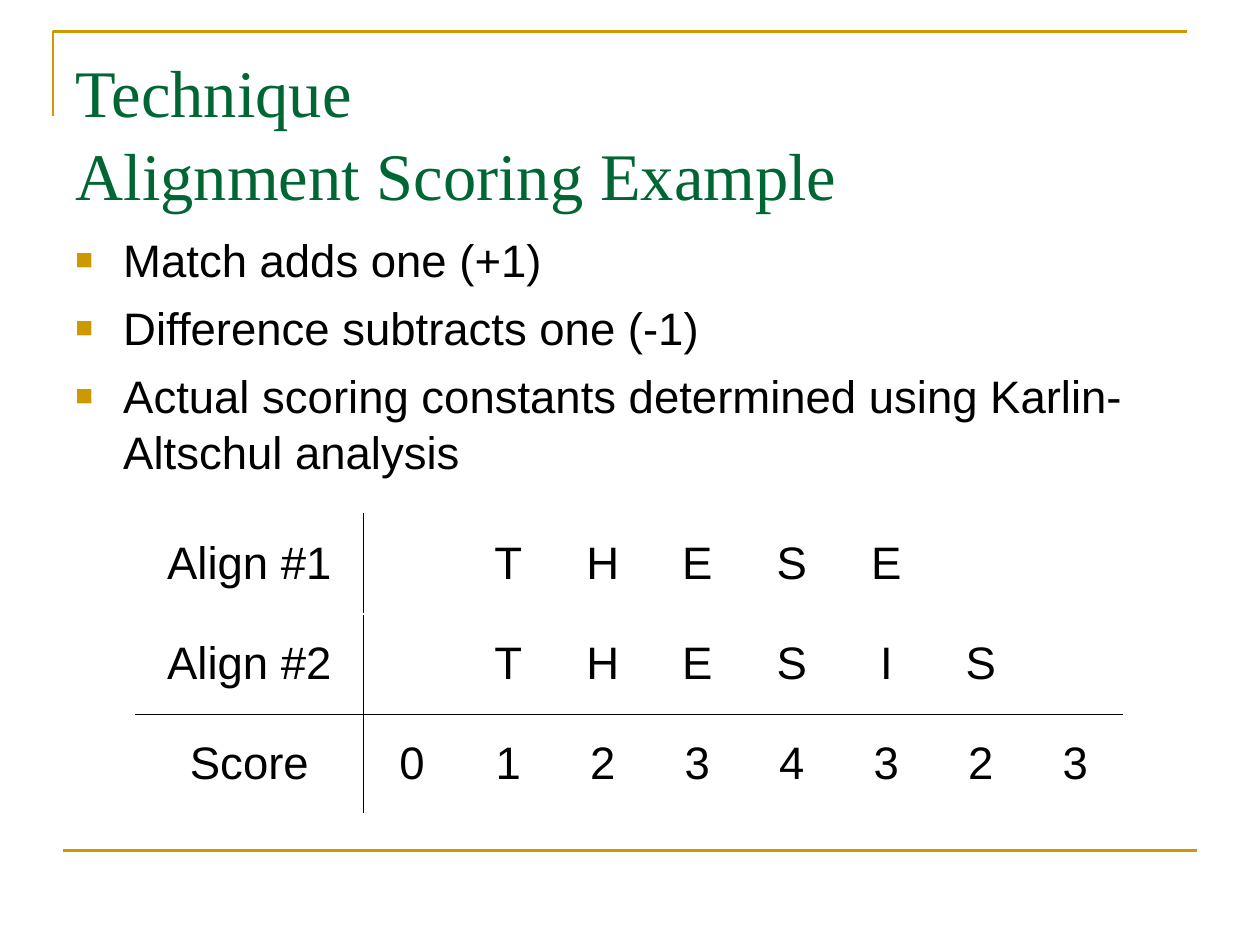
from collections import namedtuple
from lxml.etree import SubElement
from pptx import Presentation
from pptx.dml.color import RGBColor
from pptx.enum.shapes import MSO_CONNECTOR
from pptx.enum.text import MSO_ANCHOR, MSO_AUTO_SIZE, PP_ALIGN
from pptx.oxml import parse_xml
from pptx.oxml.ns import nsdecls, qn
from pptx.util import Inches, Pt

GOLD = RGBColor(0xCC, 0x99, 0x00)
GREEN = RGBColor(0x00, 0x66, 0x33)
BLACK = RGBColor(0x00, 0x00, 0x00)
COLS, ROWS = 10, 7.5
UNIT = Inches(1)
Box = namedtuple("Box", "left top width height")

TITLE = ["Technique", "Alignment Scoring Example"]
POINTS = [
    "Match adds one (+1)",
    "Difference subtracts one (-1)",
    "Actual scoring constants determined using Karlin-Altschul analysis",
]
SCORES = [
    ("Align #1", " THESE  "),
    ("Align #2", " THESIS "),
    ("Score", "01234323"),
]


def area(left, top, width, height):
    """Turn grid columns and rows into a box."""
    return Box(*(int(n * UNIT) for n in (left, top, width, height)))


def write(para, text, size, face, color):
    """Add one styled run to a paragraph."""
    run = para.add_run()
    run.text = text
    run.font.size = Pt(size)
    run.font.name = face
    run.font.color.rgb = color


def stroke(shape):
    """Give a rule its gold line."""
    shape.line.color.rgb = GOLD
    shape.line.width = Pt(1.5)


def add_frame(slide, box):
    """Draw the corner rule on top and the rule at the foot."""
    shift = int(0.08 * UNIT)
    left, right = box.left, box.left + box.width
    drop = box.top + int(0.67 * UNIT)
    pen = slide.shapes.build_freeform(left, drop)
    pen.add_line_segments([(left, box.top), (right, box.top)], close=False)
    corner = pen.convert_to_shape()
    corner.fill.background()
    corner.shadow.inherit = False
    stroke(corner)
    foot = box.top + box.height
    rule = slide.shapes.add_connector(
        MSO_CONNECTOR.STRAIGHT, left + shift, foot, right + shift, foot)
    stroke(rule)
    SubElement(rule._element.spPr, qn("a:effectLst"))


def add_title(slide, box):
    """Place the two-line title."""
    title = slide.shapes.title
    title.left, title.top, title.width, title.height = box
    frame = title.text_frame
    frame.auto_size = MSO_AUTO_SIZE.NONE
    frame.vertical_anchor = MSO_ANCHOR.TOP
    frame.margin_top = Inches(0.08)
    para = frame.paragraphs[0]
    para.alignment = PP_ALIGN.LEFT
    para.line_spacing = 1.04
    for row, text in enumerate(TITLE):
        if row:
            para.add_line_break()
        write(para, text, 38, "Times New Roman", GREEN)


def add_mark(para):
    """Give a paragraph a hanging gold square."""
    props = para._p.get_or_add_pPr()
    props.set("marL", str(Inches(0.38)))
    props.set("indent", str(-Inches(0.38)))
    tint = SubElement(props, qn("a:buClr"))
    SubElement(tint, qn("a:srgbClr")).set("val", str(GOLD))
    SubElement(props, qn("a:buSzPct")).set("val", "65000")
    SubElement(props, qn("a:buFont")).set("typeface", "Arial")
    SubElement(props, qn("a:buChar")).set("char", "■")


def add_points(slide, box):
    """Place the bulleted rules of scoring."""
    frame = slide.shapes.add_textbox(*box).text_frame
    frame.word_wrap = True
    frame.margin_top = Inches(0.07)
    for row, text in enumerate(POINTS):
        para = frame.add_paragraph() if row else frame.paragraphs[0]
        para.line_spacing = 1.04
        para.space_before = Pt(6.5)
        add_mark(para)
        write(para, text, 26, "Arial", BLACK)


def add_edges(cell, sides):
    """Draw thin lines on the named sides of a cell."""
    props = cell._tc.get_or_add_tcPr()
    for spot, side in enumerate(s for s in "LRTB" if s in sides):
        props.insert(spot, parse_xml(
            f'<a:ln{side} {nsdecls("a")} w="{Pt(0.45)}"><a:solidFill>'
            f'<a:srgbClr val="{BLACK}"/></a:solidFill></a:ln{side}>'))


def add_scores(slide, box):
    """Place the table of two aligned words and their running score."""
    count = len(SCORES[0][1]) + 1
    table = slide.shapes.add_table(len(SCORES), count, *box).table
    table.first_row = table.horz_banding = False
    widths = [1.8, 0.78] + [0.75] * (count - 2)
    for col, width in zip(table.columns, widths):
        col.width = int(box.width * width / sum(widths))
    for row in table.rows:
        row.height = box.height // len(SCORES)
    col_sides = {0: "R", 1: "L"}
    row_sides = {1: "B", 2: "T"}
    for r, (label, marks) in enumerate(SCORES):
        for c, text in enumerate([label, *marks]):
            cell = table.cell(r, c)
            cell.fill.background()
            cell.vertical_anchor = MSO_ANCHOR.MIDDLE
            add_edges(cell, col_sides.get(c, "") + row_sides.get(r, ""))
            if text.strip():
                para = cell.text_frame.paragraphs[0]
                para.alignment = PP_ALIGN.CENTER
                para.space_before = Pt(6.5)
                write(para, text, 26, "Arial", BLACK)


def main():
    """Build and save the slide."""
    deck = Presentation()
    deck.slide_width, deck.slide_height = int(COLS * UNIT), int(ROWS * UNIT)
    slide = deck.slides.add_slide(deck.slide_layouts[5])
    add_frame(slide, area(0.42, 0.25, 9, 6.5))
    add_title(slide, area(0.5, 0.3, 9, 1.25))
    add_points(slide, area(0.5, 1.75, 9, 2.39))
    add_scores(slide, area(1.08, 4.08, 7.83, 2.38))
    deck.save("out.pptx")


if __name__ == "__main__":
    main()
